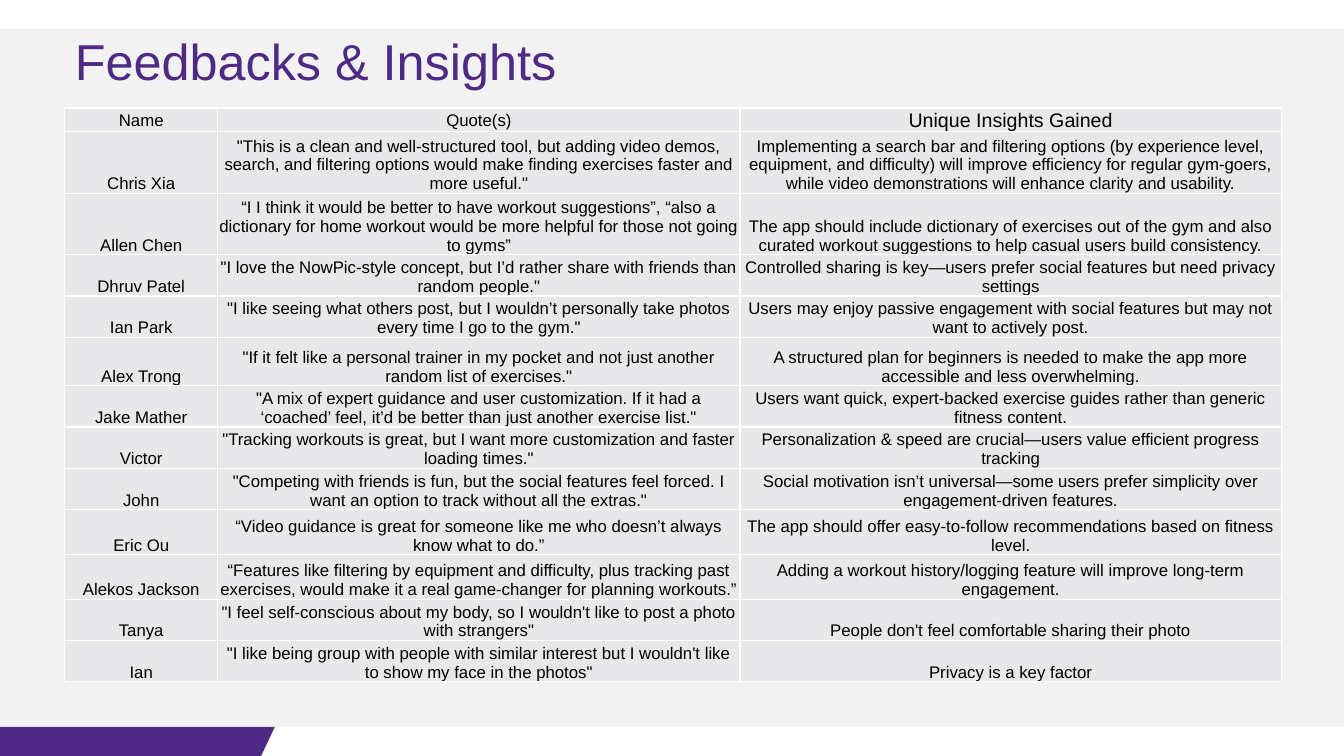
from lxml import etree
from pptx import Presentation
from pptx.dml.color import RGBColor
from pptx.enum.shapes import MSO_SHAPE
from pptx.enum.text import MSO_ANCHOR, PP_ALIGN
from pptx.oxml.ns import qn
from pptx.util import Cm, Pt

RECTANGLE = MSO_SHAPE.RECTANGLE
TOP, MIDDLE, BOTTOM = MSO_ANCHOR.TOP, MSO_ANCHOR.MIDDLE, MSO_ANCHOR.BOTTOM
LEFT, CENTER = PP_ALIGN.LEFT, PP_ALIGN.CENTER

PURPLE = RGBColor(0x4E, 0x2A, 0x84)
PANEL_GREY = RGBColor(0xF2, 0xF2, 0xF2)
CELL_GREY = RGBColor(0xE8, 0xE7, 0xEA)
WHITE = RGBColor(0xFF, 0xFF, 0xFF)
BLACK = RGBColor(0, 0, 0)

FONT = "Arial"
TITLE_ONLY = 5
PAGE_WIDTH, PAGE_HEIGHT = 33.87, 19.05
BAND_TOP = 18.31
MARGIN = 1.63

COLUMN_WIDTHS = [3.86, 13.16, 13.64]
HEADER = ["Name", "Quote(s)", "Unique Insights Gained"]
HEADER_SIZES = [12, 12, 14]
HEADER_HEIGHT = 0.6
FEEDBACK = [
    (1.55, "Chris Xia",
     "\"This is a clean and well-structured tool, but adding video demos, search, and filtering options would make finding exercises faster and more useful.\"",
     "Implementing a search bar and filtering options (by experience level, equipment, and difficulty) will improve efficiency for regular gym-goers, while video demonstrations will enhance clarity and usability."),
    (1.55, "Allen Chen",
     "“I I think it would be better to have workout suggestions”, “also a dictionary for home workout would be more helpful for those not going to gyms”",
     "The app should include dictionary of exercises out of the gym and also curated workout suggestions to help casual users build consistency."),
    (1.04, "Dhruv Patel",
     "\"I love the NowPic-style concept, but I’d rather share with friends than random people.\"",
     "Controlled sharing is key—users prefer social features but need privacy settings"),
    (1.04, "Ian Park",
     "\"I like seeing what others post, but I wouldn’t personally take photos every time I go to the gym.\"",
     "Users may enjoy passive engagement with social features but may not want to actively post."),
    (1.22, "Alex Trong",
     "\"If it felt like a personal trainer in my pocket and not just another random list of exercises.\"",
     "A structured plan for beginners is needed to make the app more accessible and less overwhelming."),
    (1.04, "Jake Mather",
     "\"A mix of expert guidance and user customization. If it had a ‘coached’ feel, it’d be better than just another exercise list.\"",
     "Users want quick, expert-backed exercise guides rather than generic fitness content."),
    (1.04, "Victor",
     "\"Tracking workouts is great, but I want more customization and faster loading times.\"",
     "Personalization & speed are crucial—users value efficient progress tracking"),
    (1.04, "John",
     "\"Competing with friends is fun, but the social features feel forced. I want an option to track without all the extras.\"",
     "Social motivation isn’t universal—some users prefer simplicity over engagement-driven features."),
    (1.14, "Eric Ou",
     "“Video guidance is great for someone like me who doesn’t always know what to do.”",
     "The app should offer easy-to-follow recommendations based on fitness level."),
    (1.12, "Alekos Jackson",
     "“Features like filtering by equipment and difficulty, plus tracking past exercises, would make it a real game-changer for planning workouts.”",
     "Adding a workout history/logging feature will improve long-term engagement."),
    (1.04, "Tanya",
     "\"I feel self-conscious about my body, so I wouldn't like to post a photo with strangers\"",
     "People don't feel comfortable sharing their photo"),
    (1.04, "Ian",
     "\"I like being group with people with similar interest but I wouldn't like to show my face in the photos\"",
     "Privacy is a key factor"),
]


def add_span(para, text, size, color):
    span = para.add_run()
    span.text = text
    span.font.name = FONT
    span.font.size = Pt(size)
    span.font.color.rgb = color


def paint(shape, color):
    shape.shadow.inherit = False
    shape.fill.solid()
    shape.fill.fore_color.rgb = color
    shape.line.fill.background()


def add_backdrop(page):
    builder = page.shapes.build_freeform(Cm(0), Cm(BAND_TOP))
    builder.add_line_segments([
        (Cm(6.93), Cm(BAND_TOP)),
        (Cm(6.58), Cm(PAGE_HEIGHT)),
        (Cm(0), Cm(PAGE_HEIGHT)),
    ], close=True)
    paint(builder.convert_to_shape(), PURPLE)
    panel = page.shapes.add_shape(
        RECTANGLE, Cm(0), Cm(0.73), Cm(PAGE_WIDTH), Cm(BAND_TOP - 0.73))
    paint(panel, PANEL_GREY)


def add_borders(cell):
    properties = cell._tc.get_or_add_tcPr()
    for position, side in enumerate(("lnL", "lnR", "lnT", "lnB")):
        line = etree.Element(qn(f"a:{side}"), w=str(Pt(1)))
        fill = etree.SubElement(line, qn("a:solidFill"))
        etree.SubElement(fill, qn("a:srgbClr"), val=str(WHITE))
        properties.insert(position, line)


def fill_cell(cell, text, size, anchor):
    cell.fill.solid()
    cell.fill.fore_color.rgb = CELL_GREY
    cell.margin_left = cell.margin_right = cell.margin_top = Cm(0.02)
    cell.margin_bottom = Cm(0)
    cell.vertical_anchor = anchor
    para = cell.text_frame.paragraphs[0]
    para.alignment = CENTER
    add_span(para, text, size, BLACK)
    add_borders(cell)


def add_feedback_table(page):
    heights = [HEADER_HEIGHT] + [row[0] for row in FEEDBACK]
    table = page.shapes.add_table(
        len(heights), len(COLUMN_WIDTHS), Cm(MARGIN), Cm(2.72),
        Cm(sum(COLUMN_WIDTHS)), Cm(sum(heights))).table
    table.first_row = False
    table.horz_banding = False
    for column, width in zip(table.columns, COLUMN_WIDTHS):
        column.width = Cm(width)
    for row, height in zip(table.rows, heights):
        row.height = Cm(height)
    for column, (text, size) in enumerate(zip(HEADER, HEADER_SIZES)):
        fill_cell(table.cell(0, column), text, size, MIDDLE)
    for row, (_, *texts) in enumerate(FEEDBACK, start=1):
        for column, text in enumerate(texts):
            fill_cell(table.cell(row, column), text, 12, BOTTOM)


def set_title(page, text):
    box = page.shapes.title
    box.left, box.top = Cm(MARGIN), Cm(0.64)
    box.width, box.height = Cm(30.63), Cm(1.8)
    box.text_frame.vertical_anchor = TOP
    box.text_frame.word_wrap = True
    para = box.text_frame.paragraphs[0]
    para.alignment = LEFT
    add_span(para, text, 36, PURPLE)
    page.shapes._spTree.append(box._element)


def main():
    deck = Presentation()
    deck.slide_width, deck.slide_height = Cm(PAGE_WIDTH), Cm(PAGE_HEIGHT)
    page = deck.slides.add_slide(deck.slide_layouts[TITLE_ONLY])
    add_backdrop(page)
    add_feedback_table(page)
    set_title(page, "Feedbacks & Insights")
    deck.save("out.pptx")


if __name__ == "__main__":
    main()
